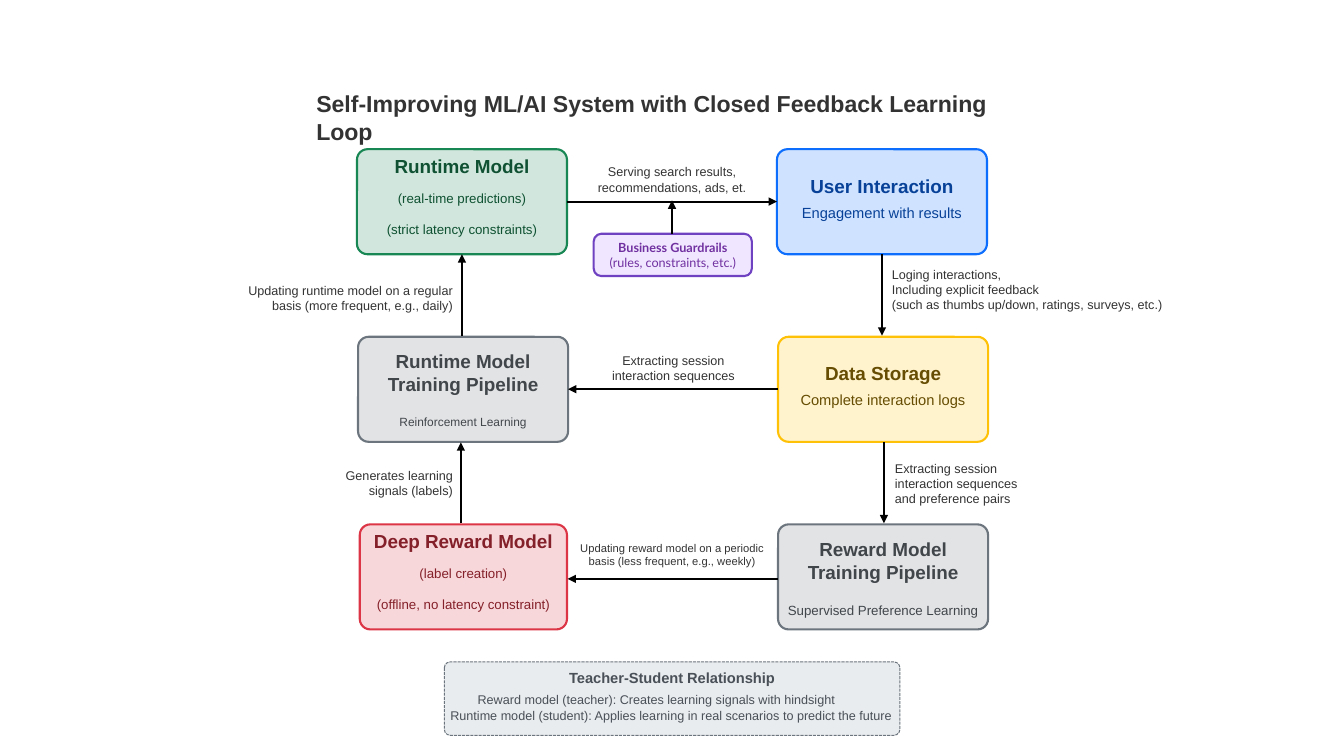
from pptx import Presentation
from pptx.dml.color import RGBColor
from pptx.enum.dml import MSO_LINE
from pptx.enum.shapes import MSO_CONNECTOR, MSO_SHAPE
from pptx.enum.text import MSO_ANCHOR, PP_ALIGN
from pptx.oxml.ns import qn
from pptx.util import Pt
from lxml.etree import SubElement

THEME = {
    "font": "Arial", "guardrail_font": "Lato",
    "ink": "333333", "arrow": "000000", "stroke": 1.5, "thin": 0.75,
    "title": 16.5, "heading": 13.5, "subtitle": 10.5, "detail": 9.5,
    "label": 9, "small": 8.5, "tiny": 8,
    # fill, outline, text
    "green": ("D1E7DD", "198754", "0F5132"),
    "blue": ("CFE2FF", "0D6EFD", "084298"),
    "red": ("F8D7DA", "DC3545", "842029"),
    "yellow": ("FFF3CD", "FFC107", "664D03"),
    "gray": ("E2E3E5", "6C757D", "41464B"),
    "purple": ("F0E6FF", "6F42C1", "7030A0"),
    "slate": ("E9ECEF", "6C757D", "495057"),
}
LEFT, CENTER, RIGHT = PP_ALIGN.LEFT, PP_ALIGN.CENTER, PP_ALIGN.RIGHT

TITLE = "Self-Improving ML/AI System with Closed Feedback Learning Loop"
TITLE_BOX = (218.9, 60.5, 522, 26)

# Vertical layouts of a stage: heading offset, detail offset, gap between details
LAYOUTS = {
    "constraints": (0, 25.5, 10.9),
    "summary": (14.4, 35.3, 0),
    "pipeline": (5.8, 51.8, 0),
}
ROW_TOP, ROW_STEP, STAGE_HEIGHT = 106.6, 134, 75

# row, left, width, palette, layout, heading, details, detail size
STAGES = [
    (0, 255, 150, "green", "constraints", ["Runtime Model"],
     ["(real-time predictions)", "(strict latency constraints)"], "detail"),
    (0, 555, 150, "blue", "summary", ["User Interaction"],
     ["Engagement with results"], "subtitle"),
    (1, 255.8, 150, "gray", "pipeline", ["Runtime Model", "Training Pipeline"],
     ["Reinforcement Learning"], "small"),
    (1, 555.8, 150, "yellow", "summary", ["Data Storage"],
     ["Complete interaction logs"], "subtitle"),
    (2, 257, 148, "red", "constraints", ["Deep Reward Model"],
     ["(label creation)", "(offline, no latency constraint)"], "detail"),
    (2, 555.8, 150, "gray", "pipeline", ["Reward Model", "Training Pipeline"],
     ["Supervised Preference Learning"], "detail"),
]

# start x, start y, end x, end y
ARROWS = [
    (405, 144, 555, 144),
    (630, 181.6, 630, 239.8),
    (631.4, 316, 631.4, 373.8),
    (555.4, 413.5, 405.4, 413.5),
    (329.2, 373.8, 329.2, 316),
    (330, 239.8, 330, 181.6),
    (555.8, 278, 405.8, 278),
    (480, 167, 480, 143.2),
]

# box, alignment, size, paragraphs
LABELS = [
    ((414, 113.8, 132, 28.8), CENTER, "label",
     ["Serving search results,", "recommendations, ads, et."]),
    ((630, 187.2, 212, 40.3), LEFT, "label",
     ["Loging interactions,", "Including explicit feedback",
      "(such as thumbs up/down, ratings, surveys, etc.)"]),
    ((238.3, 330.5, 92.2, 28.8), RIGHT, "label",
     ["Generates learning signals (labels)"]),
    ((164.9, 198.7, 165.6, 28.8), RIGHT, "label",
     ["Updating runtime model on a regular basis (more frequent, e.g., daily)"]),
    ((406, 383, 148.3, 26.6), CENTER, "tiny",
     ["Updating reward model on a periodic basis (less frequent, e.g., weekly)"]),
    ((632.2, 325.4, 122.4, 40.3), LEFT, "label",
     ["Extracting session interaction sequences", "and preference pairs"]),
    ((427, 248.4, 108, 28.8), CENTER, "label",
     ["Extracting session interaction sequences"]),
]

GUARDRAIL_BOX = (424.1, 167, 113, 30.2)
GUARDRAIL = ["Business Guardrails", "(rules, constraints, etc.)"]

RELATION_BOX = (317.4, 472.8, 325.4, 52.4)
# box, alignment, size, bold, text
RELATION = [
    ((317.4, 474.5, 325.4, 20), CENTER, "subtitle", True,
     "Teacher-Student Relationship"),
    ((334.1, 491, 290, 18), LEFT, "label", False,
     "Reward model (teacher): Creates learning signals with hindsight"),
    ((314.6, 502, 334, 18), LEFT, "label", False,
     "Runtime model (student): Applies learning in real scenarios to predict the future"),
]


def points(values):
    return [Pt(value) for value in values]


def write(frame, lines, size, color, align=LEFT, bold=False, gap=0, font="font"):
    frame.word_wrap = True
    for index, line in enumerate(lines):
        paragraph = frame.paragraphs[0] if index == 0 else frame.add_paragraph()
        paragraph.alignment = align
        if index:
            paragraph.space_before = Pt(gap)
        run = paragraph.add_run()
        run.text = line
        run.font.color.rgb = RGBColor.from_string(color)
        style = {"name": THEME[font], "size": Pt(THEME[size]), "bold": bold}
        for attribute, value in style.items():
            setattr(run.font, attribute, value)


def add_text(slide, box, lines, size, color, **style):
    frame = slide.shapes.add_textbox(*points(box)).text_frame
    write(frame, lines, size, color, **style)


def add_panel(slide, box, palette, rounding, stroke="stroke"):
    """Add a rounded box; rounding is the corner radius over the height."""
    fill, outline, _ = THEME[palette]
    panel = slide.shapes.add_shape(MSO_SHAPE.ROUNDED_RECTANGLE, *points(box))
    panel.adjustments[0] = rounding
    panel.shadow.inherit = False
    panel.fill.solid()
    panel.fill.fore_color.rgb = RGBColor.from_string(fill)
    panel.line.color.rgb = RGBColor.from_string(outline)
    panel.line.width = Pt(THEME[stroke])
    return panel


def add_stage(slide, row, left, width, palette, layout, heading, details, size):
    heading_offset, detail_offset, gap = LAYOUTS[layout]
    top = ROW_TOP + row * ROW_STEP
    color = THEME[palette][2]
    add_panel(slide, (left, top, width, STAGE_HEIGHT), palette, 0.1)
    text_left, text_width = left - 1, width + 2
    add_text(slide, (text_left, top + heading_offset, text_width, 23), heading,
             "heading", color, align=CENTER, bold=True)
    add_text(slide, (text_left, top + detail_offset, text_width, 19), details,
             size, color, align=CENTER, gap=gap)


def add_arrow(slide, ends):
    arrow = slide.shapes.add_connector(MSO_CONNECTOR.STRAIGHT, *points(ends))
    arrow.line.color.rgb = RGBColor.from_string(THEME["arrow"])
    arrow.line.width = Pt(THEME["stroke"])
    properties = arrow.line._get_or_add_ln()
    SubElement(properties, qn("a:tailEnd"), type="triangle")
    SubElement(properties.getparent(), qn("a:effectLst"))


def add_guardrail(slide):
    color = THEME["purple"][2]
    frame = add_panel(slide, GUARDRAIL_BOX, "purple", 0.18).text_frame
    write(frame, GUARDRAIL, "label", color, align=CENTER, font="guardrail_font")
    frame.paragraphs[0].runs[0].font.bold = True
    frame.vertical_anchor = MSO_ANCHOR.MIDDLE


def add_relation(slide):
    panel = add_panel(slide, RELATION_BOX, "slate", 0.08, "thin")
    panel.line.dash_style = MSO_LINE.SQUARE_DOT
    for box, align, size, bold, text in RELATION:
        add_text(slide, box, [text], size, THEME["slate"][2], align=align, bold=bold)


def main():
    deck = Presentation()
    deck.slide_width, deck.slide_height = Pt(960), Pt(540)
    slide = deck.slides.add_slide(deck.slide_layouts[6])
    add_text(slide, TITLE_BOX, [TITLE], "title", THEME["ink"], bold=True)
    for stage in STAGES:
        add_stage(slide, *stage)
    add_relation(slide)
    for box, align, size, lines in LABELS:
        add_text(slide, box, lines, size, THEME["ink"], align=align)
    add_guardrail(slide)
    for ends in ARROWS:
        add_arrow(slide, ends)
    deck.save("out.pptx")


if __name__ == "__main__":
    main()
